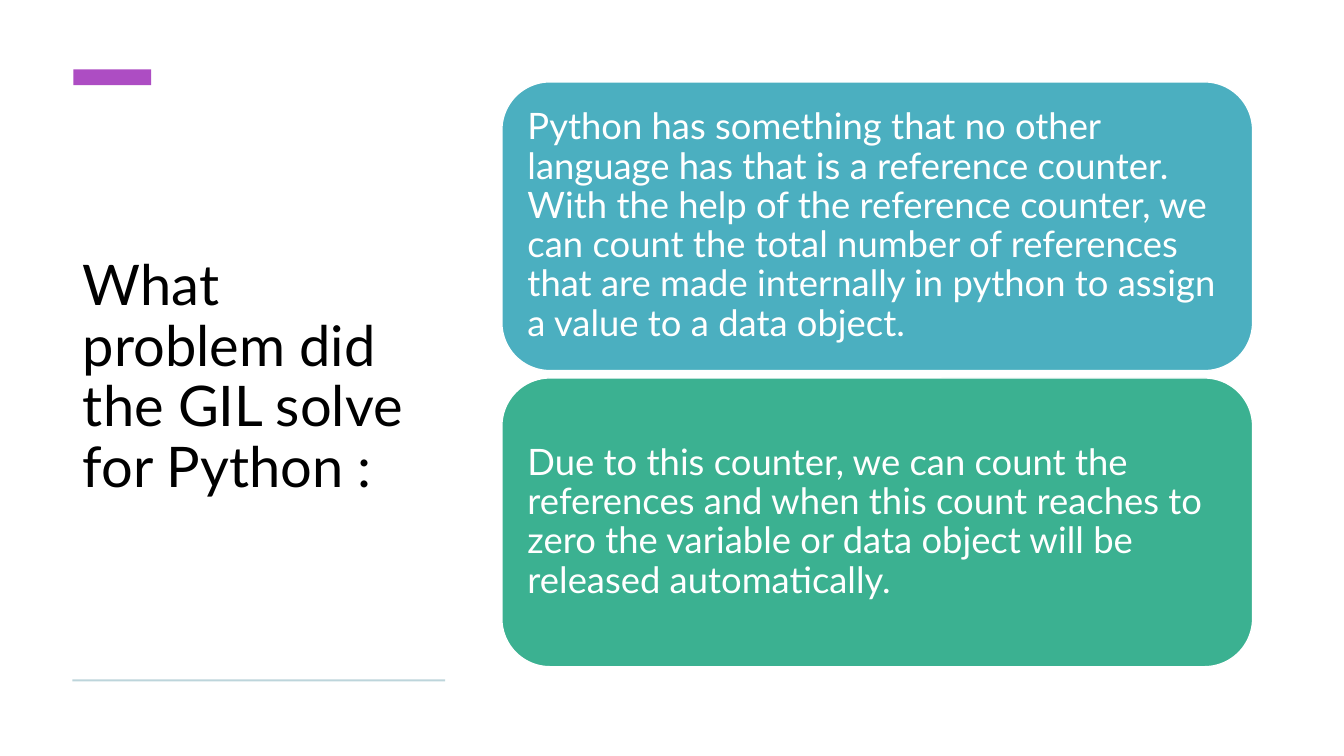
"""Build the slide on the problem the GIL solved for Python."""
from dataclasses import dataclass

from pptx import Presentation
from pptx.dml.color import RGBColor
from pptx.enum.shapes import MSO_SHAPE as Preset
from pptx.enum.text import MSO_ANCHOR as Anchor, PP_ALIGN as Align
from pptx.shapes.autoshape import Shape
from pptx.slide import Slide
from pptx.text.text import TextFrame
from pptx.util import Emu, Pt

EMU_PER_PX = 9525


@dataclass(frozen=True)
class Theme:
    font: str = "Lato"
    title_size: int = 40
    card_size: int = 26
    ink: str = "000000"
    paper: str = "FFFFFF"
    accent: str = "AD4DC3"
    rule: str = "BDD5DB"
    teal: str = "4BAFC0"
    green: str = "3BB191"


@dataclass(frozen=True)
class Area:
    left: int
    top: int
    width: int
    height: int

    def emu(self) -> tuple[Emu, ...]:
        return tuple(px(side) for side in (self.left, self.top, self.width, self.height))


@dataclass(frozen=True)
class Card:
    text: str
    fill: str


THEME = Theme()
SLIDE_SIZE = (1280, 720)
TITLE = "What problem did the GIL solve for Python :"
TITLE_AREA = Area(69, 101, 355, 519)
BARS = (
    (Area(70, 66, 74, 15), THEME.accent),
    (Area(69, 647, 355, 2), THEME.rule),
)
FIRST_CARD = Area(478, 78, 715, 275)
CARD_GAP = 7
CARDS = (
    Card(
        "Python has something that no other language has that is a reference counter. "
        "With the help of the reference counter, we can count the total number of "
        "references that are made internally in python to assign a value to a data object.",
        THEME.teal,
    ),
    Card(
        "Due to this counter, we can count the references and when this count reaches "
        "to zero the variable or data object will be released automatically.",
        THEME.green,
    ),
)


def px(length: int) -> Emu:
    return Emu(length * EMU_PER_PX)


def write(frame: TextFrame, text: str, *, size: int, color: str, inset: int) -> None:
    frame.word_wrap = True
    frame.vertical_anchor = Anchor.MIDDLE
    frame.margin_left = frame.margin_right = px(inset)
    frame.margin_top = frame.margin_bottom = px(inset)
    para = frame.paragraphs[0]
    para.alignment = Align.LEFT
    para.line_spacing = 0.9
    span = para.add_run()
    span.text = text
    span.font.name = THEME.font
    span.font.size = Pt(size)
    span.font.color.rgb = RGBColor.from_string(color)


def add_panel(page: Slide, preset: Preset, area: Area, fill: str) -> Shape:
    panel = page.shapes.add_shape(preset, *area.emu())
    panel.shadow.inherit = False
    panel.fill.solid()
    panel.fill.fore_color.rgb = RGBColor.from_string(fill)
    panel.line.fill.background()
    return panel


def add_card(page: Slide, card: Card, index: int) -> None:
    top = FIRST_CARD.top + index * (FIRST_CARD.height + CARD_GAP)
    area = Area(FIRST_CARD.left, top, FIRST_CARD.width, FIRST_CARD.height)
    panel = add_panel(page, Preset.ROUNDED_RECTANGLE, area, card.fill)
    panel.line.color.rgb = RGBColor.from_string(THEME.paper)
    panel.line.width = Pt(1)
    write(panel.text_frame, card.text, size=THEME.card_size, color=THEME.paper, inset=11)


def main() -> None:
    deck = Presentation()
    deck.slide_width, deck.slide_height = map(px, SLIDE_SIZE)
    page = deck.slides.add_slide(deck.slide_layouts[6])
    box = page.shapes.add_textbox(*TITLE_AREA.emu())
    write(box.text_frame, TITLE, size=THEME.title_size, color=THEME.ink, inset=10)
    for area, fill in BARS:
        add_panel(page, Preset.RECTANGLE, area, fill)
    for index, card in enumerate(CARDS):
        add_card(page, card, index)
    deck.save("out.pptx")


if __name__ == "__main__":
    main()
